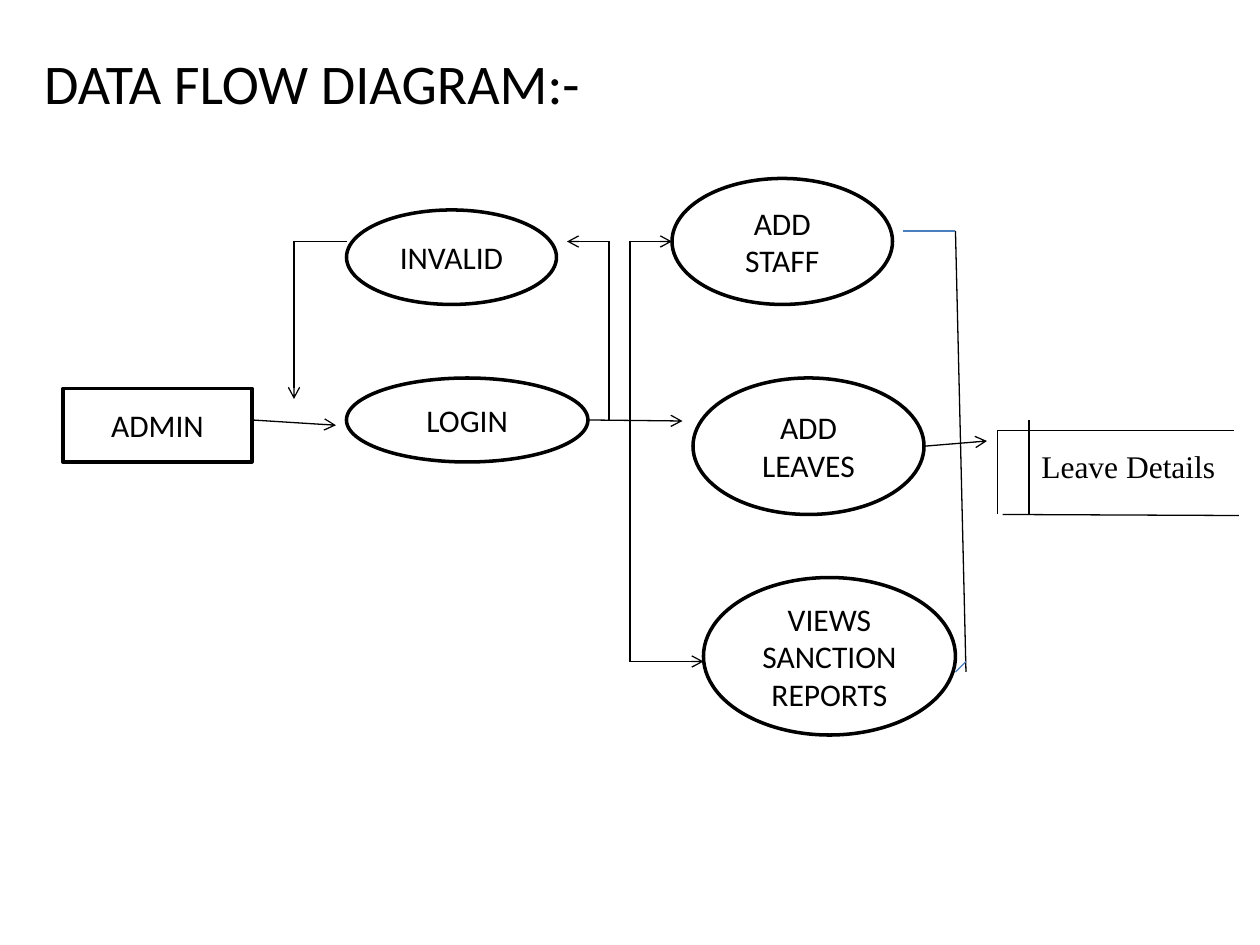
from dataclasses import dataclass

from lxml.etree import SubElement
from pptx import Presentation
from pptx.dml.color import RGBColor
from pptx.enum.shapes import MSO_CONNECTOR, MSO_SHAPE
from pptx.enum.text import MSO_ANCHOR, MSO_AUTO_SIZE, PP_ALIGN
from pptx.oxml.ns import qn
from pptx.util import Inches, Pt

BLACK = RGBColor(0x00, 0x00, 0x00)
WHITE = RGBColor(0xFF, 0xFF, 0xFF)
BLUE = RGBColor(0x4B, 0x7E, 0xBC)
UNIT = Inches(10) / 120  # the slide is a grid of 120 columns and 90 rows

OVAL, RECT = MSO_SHAPE.OVAL, MSO_SHAPE.RECTANGLE

# Kind, label, column, row, columns wide, rows high
NODES = [
    (RECT, "ADMIN", 0, 20, 18, 7),
    (OVAL, "LOGIN", 27, 19, 23, 8),
    (OVAL, "INVALID", 27, 3, 20, 9),
    (OVAL, "ADD STAFF", 58, 0, 21, 12),
    (OVAL, "ADD LEAVES", 60, 19, 22, 13),
    (OVAL, "VIEWS SANCTION REPORTS", 61, 38, 24, 15),
]

# Points along each route; an arrow ends at the last point
ARROWS = [
    [(18, 23), (26, 23.5)],            # admin to login
    [(50, 23), (59, 23.1)],            # login to add leaves
    [(52, 23), (52, 6), (48, 6)],      # login to invalid
    [(27, 6), (22, 6), (22, 21)],      # invalid back to login
    [(54, 46), (54, 6), (58, 6)],      # branch to add staff
    [(54, 46), (61, 46)],              # branch to views
    [(82, 25.5), (88, 25)],            # add leaves to the store
]
LINKS = [
    ([(85, 5), (86, 47)], BLACK),
    ([(85, 5), (80, 5)], BLUE),
    ([(86, 46), (85, 47)], BLUE),
]
STORE_RULES = [
    [(0, 1), (22.5, 1)],
    [(0.5, 9), (23, 9.1)],
    [(3, 0), (3, 9)],
    [(0, 1), (0, 9)],
]


@dataclass
class Box:
    """A region of the slide, in grid columns and rows."""
    col: float
    row: float
    cols: float
    rows: float

    def point(self, col, row):
        return round((self.col + col) * UNIT), round((self.row + row) * UNIT)

    def area(self, col, row, cols, rows):
        return *self.point(col, row), round(cols * UNIT), round(rows * UNIT)


def style_text(para, name, size):
    para.font.name = name
    para.font.size = Pt(size)
    para.font.color.rgb = BLACK


def add_route(page, box, points, color=BLACK, arrow=False):
    """Join the points with straight lines."""
    for start, end in zip(points, points[1:]):
        line = page.shapes.add_connector(
            MSO_CONNECTOR.STRAIGHT, *box.point(*start), *box.point(*end))
        line.line.color.rgb = color
        line.line.width = Pt(0.75)
        props = line._element.spPr
        if arrow and end == points[-1]:
            SubElement(props.find(qn("a:ln")), qn("a:tailEnd"), type="arrow")
        SubElement(props, qn("a:effectLst"))


def place_title(page, box):
    title = page.shapes.title
    title.left, title.top, title.width, title.height = box.area(0, 0, box.cols, box.rows)
    title.text_frame.text = "DATA FLOW DIAGRAM:-"
    title.text_frame.vertical_anchor = MSO_ANCHOR.TOP
    para = title.text_frame.paragraphs[0]
    para.alignment = PP_ALIGN.LEFT
    style_text(para, "Calibri", 32)


def place_nodes(page, box):
    for kind, label, *area in NODES:
        node = page.shapes.add_shape(kind, *box.area(*area))
        node.shadow.inherit = False
        node.fill.solid()
        node.fill.fore_color.rgb = WHITE
        node.line.color.rgb = BLACK
        node.line.width = Pt(2)
        node.text_frame.text = label
        node.text_frame.vertical_anchor = MSO_ANCHOR.MIDDLE
        para = node.text_frame.paragraphs[0]
        para.alignment = PP_ALIGN.CENTER
        style_text(para, "Calibri", 18)


def place_store(page, box):
    """Draw the open-ended data store with its name."""
    for rule in STORE_RULES:
        add_route(page, box, rule)
    label = page.shapes.add_textbox(*box.area(3, 2, box.cols - 3, 4.8))
    frame = label.text_frame
    frame.word_wrap = True
    frame.auto_size = MSO_AUTO_SIZE.SHAPE_TO_FIT_TEXT
    frame.text = "Leave Details"
    style_text(frame.paragraphs[0], "Times New Roman", 18)


def place_flows(page, box):
    for points in ARROWS:
        add_route(page, box, points, arrow=True)
    for points, color in LINKS:
        add_route(page, box, points, color)


def main():
    deck = Presentation()
    deck.slide_width, deck.slide_height = Inches(10), Inches(7.5)
    page = deck.slides.add_slide(deck.slide_layouts.get_by_name("Title Only"))
    diagram = Box(6, 17, 86, 53)
    place_title(page, Box(3, 4, 112, 83))
    place_nodes(page, diagram)
    place_store(page, Box(95, 40, 25, 9))
    place_flows(page, diagram)
    deck.save("out.pptx")


if __name__ == "__main__":
    main()
